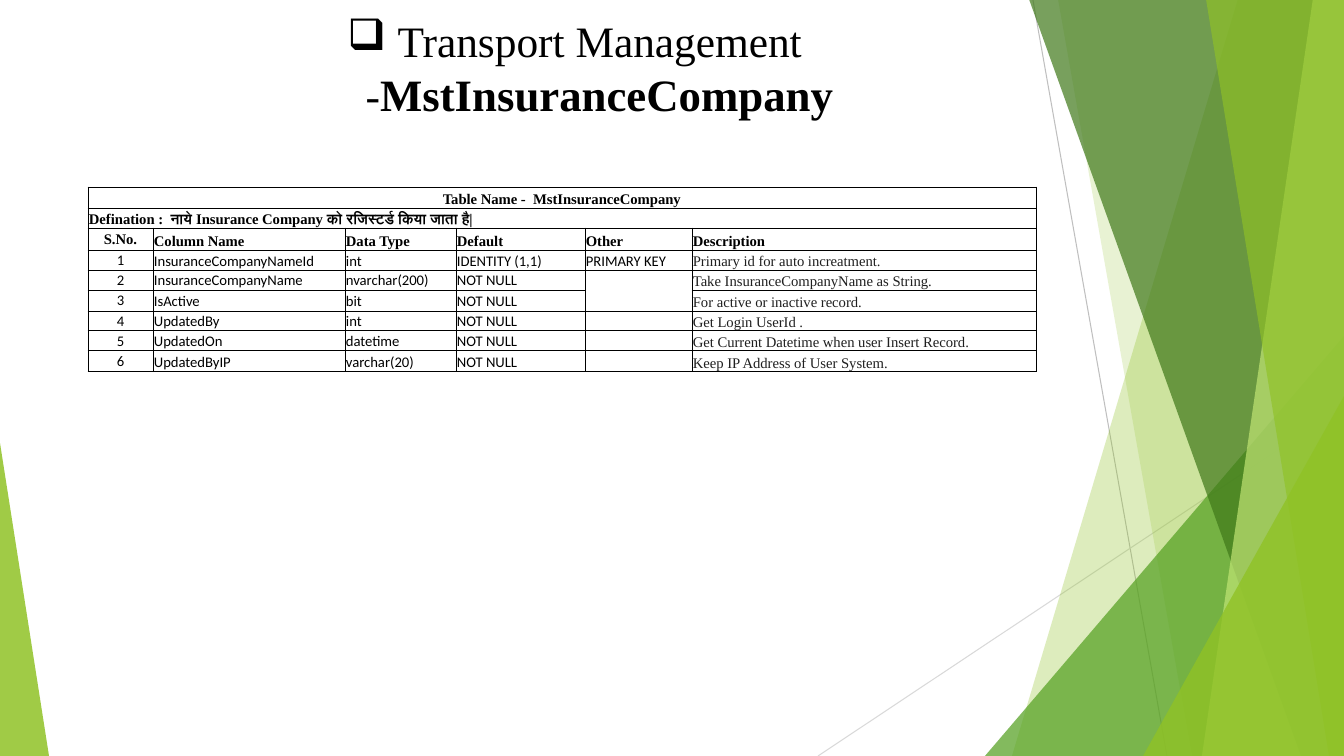
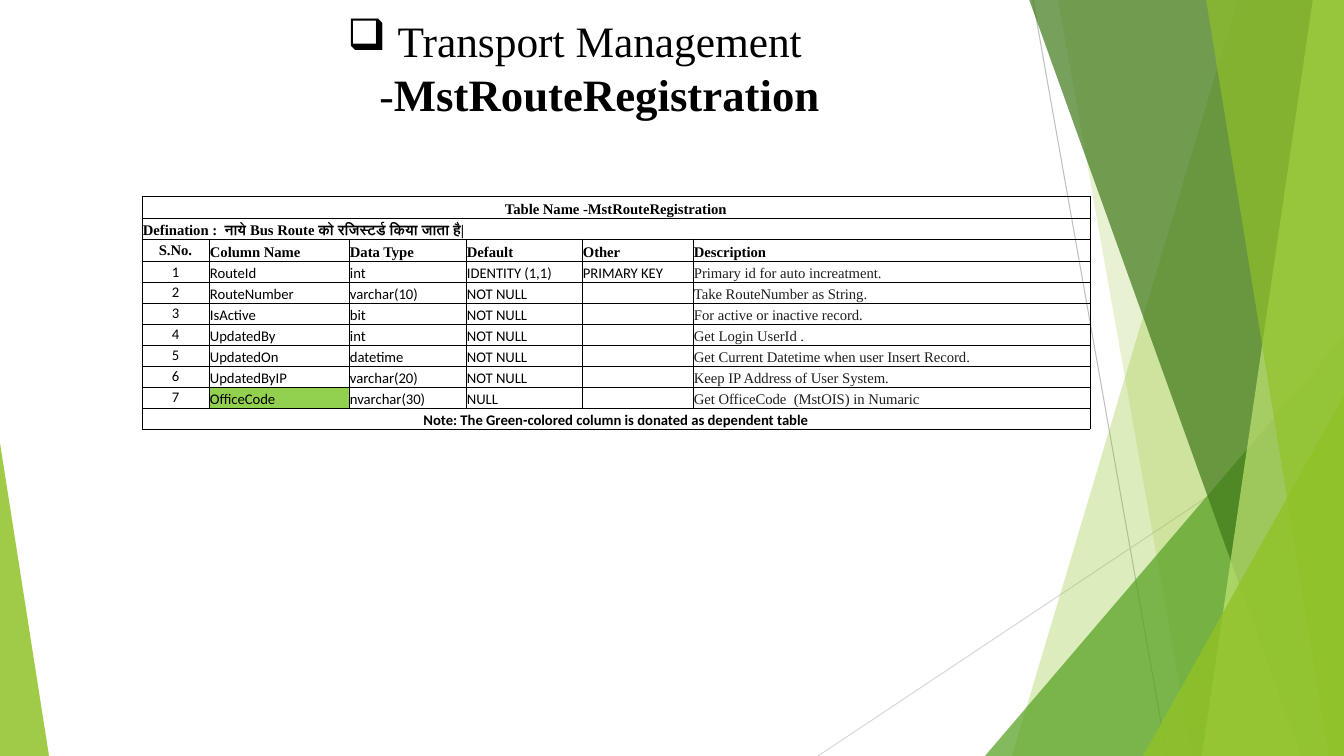
from lxml.etree import SubElement
from pptx import Presentation
from pptx.dml.color import RGBColor
from pptx.enum.shapes import MSO_CONNECTOR, MSO_SHAPE
from pptx.enum.text import MSO_ANCHOR, PP_ALIGN
from pptx.oxml.ns import qn
from pptx.util import Pt

PX = 914400 / 100.8
WIDE, HIGH = 1344, 756


class Theme:
    ink, soft, mark = "000000", "1F1F1F", "92D050"
    lime, leaf, moss, pale = "90C226", "54A021", "3F7819", "C0E474"
    rule, faint = "BFBFBF", "D9D9D9"
    title = {"name": "Times New Roman", "size": Pt(31), "bold": False}
    topic = {"name": "Times New Roman", "size": Pt(32), "bold": True}
    head = {"name": "Times New Roman", "size": Pt(10.5), "bold": True}
    body = {"name": "Calibri", "size": Pt(10.5), "bold": False}
    desc = {"name": "Times New Roman", "size": Pt(10.5), "bold": False}
    note = {"name": "Calibri", "size": Pt(10.5), "bold": True}


def emu(*vals):
    return [round(val * PX) for val in vals]


def write(par, text, form, tint=Theme.ink):
    run = par.add_run()
    run.text = text
    for key, val in form.items():
        setattr(run.font, key, val)
    run.font.color.rgb = RGBColor.from_string(tint)


# Slide data: name, type, default, description
KEY = "IDENTITY (1,1)"
FIRST = "Primary id for auto increatment."
COMMON = [
    ("IsActive", "bit", "NOT NULL", "For active or inactive record."),
    ("UpdatedBy", "int", "NOT NULL", "Get Login UserId ."),
    ("UpdatedOn", "datetime", "NOT NULL",
     "Get Current Datetime when user Insert Record."),
    ("UpdatedByIP", "varchar(20)", "NOT NULL", "Keep IP Address of User System."),
]
HEADS = ["S.No.", "Column Name", "Data Type", "Default", "Other", "Description"]
PAGES = [
    {
        "topic": "MstInsuranceCompany",
        "name": "Table Name -  MstInsuranceCompany",
        "about": "Defination :  नाये Insurance Company को रजिस्टर्ड किया जाता है|",
        "at": (88, 187),
        "cols": [65, 192, 111, 129, 107, 344],
        "rows": [21, 20, 22] + [20, 20, 21] * 2,
        "data": [
            ("InsuranceCompanyNameId", "int", KEY, FIRST),
            ("InsuranceCompanyName", "nvarchar(200)", "NOT NULL",
             "Take InsuranceCompanyName as String."),
            *COMMON,
        ],
        "note": None,
        "open": {(4, 4): "B", (5, 4): "T"},
        "green": None,
    },
    {
        "topic": "MstRouteRegistration",
        "name": "Table Name -MstRouteRegistration",
        "about": "Defination :  नाये Bus Route को रजिस्टर्ड किया जाता है|",
        "at": (142, 196),
        "cols": [67, 140, 117, 116, 111, 397],
        "rows": [22, 21, 22] + [21] * 8,
        "data": [
            ("RouteId", "int", KEY, FIRST),
            ("RouteNumber", "varchar(10)", "NOT NULL", "Take RouteNumber as String."),
            *COMMON,
            ("OfficeCode", "nvarchar(30)", "NULL",
             "Get OfficeCode  (MstOIS) in Numaric"),
        ],
        "note": "Note: The Green-colored column is donated as dependent table",
        "open": {},
        "green": (9, 1),
    },
]

deck = Presentation()
deck.slide_width, deck.slide_height = emu(WIDE, HIGH)
blank = deck.slide_layouts[6]
for hold in list(blank.placeholders):
    hold.element.getparent().remove(hold.element)
slides = [deck.slides.add_slide(blank) for page in PAGES]

# Backdrop lines
base = slides[0].shapes
for ends, tint in [((1033, 0, 1167, HIGH), Theme.rule),
                   ((WIDE, 406, 818, HIGH), Theme.faint)]:
    line = base.add_connector(MSO_CONNECTOR.STRAIGHT, *emu(*ends))
    line.line.color.rgb = RGBColor.from_string(tint)
    line.line.width = Pt(0.75)
    SubElement(line.element.spPr, qn("a:effectLst"))

# Backdrop facets: two numbers are top and foot of a wedge, four a triangle's box
for geo, tint, alpha in [
    ((1238, 1012), Theme.lime, 30),
    ((1058, 1192), Theme.lime, 20),
    ((985, 336, 359, 420), Theme.leaf, 72),
    ((1029, 1301), Theme.moss, 70),
    ((1313, 1202), Theme.pale, 70),
    ((1206, 1329), Theme.lime, 65),
    ((1143, 396, 201, 360), Theme.lime, 80),
    ((0, 443, 49, 313), Theme.lime, 85),
]:
    if len(geo) == 2:
        top, foot = geo
        path = base.build_freeform(top, -1, scale=PX)
        path.add_line_segments([(WIDE, -1), (WIDE, HIGH), (foot, HIGH)], close=True)
        facet = path.convert_to_shape()
    else:
        facet = base.add_shape(MSO_SHAPE.ISOSCELES_TRIANGLE, *emu(*geo))
        facet.adjustments[0] = 1 if geo[0] else 0
    facet.shadow.inherit = False
    facet.fill.solid()
    facet.fill.fore_color.rgb = RGBColor.from_string(tint)
    color = next(facet.element.spPr.iter(qn("a:srgbClr")))
    SubElement(color, qn("a:alpha"), val=str(alpha * 1000))
    facet.line.fill.background()

# The layout holds the backdrop for all slides
for shape in list(base):
    blank.shapes.element.append(shape.element)

for slide, page in zip(slides, PAGES):
    # Title
    frame = slide.shapes.add_textbox(*emu(157, 8, 835, 117)).text_frame
    frame.word_wrap = True
    frame.vertical_anchor = MSO_ANCHOR.BOTTOM
    par = frame.paragraphs[0]
    par.alignment = PP_ALIGN.CENTER
    props = par._p.get_or_add_pPr()
    props.set("marL", "457200")
    props.set("indent", "-457200")
    SubElement(props, qn("a:buChar"), char="❑")
    write(par, "Transport Management -", Theme.title)
    write(par, page["topic"], Theme.topic)

    # Table grid
    rows, cols = page["rows"], page["cols"]
    box = emu(*page["at"], sum(cols), sum(rows))
    grid = slide.shapes.add_table(len(rows), len(cols), *box).table
    grid.first_row = grid.horz_banding = False
    for col, width in zip(grid.columns, emu(*cols)):
        col.width = width
    for row, height in zip(grid.rows, emu(*rows)):
        row.height = height

    # Table text
    lines = [[page["name"]], [page["about"]], HEADS]
    for num, (name, kind, rest, desc) in enumerate(page["data"], 1):
        lines.append([str(num), name, kind, rest,
                      "PRIMARY KEY" if num == 1 else "", desc])
    if page["note"]:
        lines.append([page["note"]])

    for r, texts in enumerate(lines):
        full = len(texts) == 1
        if full:
            grid.cell(r, 0).merge(grid.cell(r, len(cols) - 1))
        for c in range(len(cols)):
            cell = grid.cell(r, c)
            text = texts[c] if c < len(texts) else ""
            mid = c == 0 and not full
            for key, val in {
                "margin_left": emu(1)[0], "margin_right": emu(1)[0],
                "margin_top": emu(1)[0], "margin_bottom": 0,
                "vertical_anchor": MSO_ANCHOR.MIDDLE if mid else MSO_ANCHOR.BOTTOM,
            }.items():
                setattr(cell, key, val)

            par = cell.text_frame.paragraphs[0]
            par.alignment = PP_ALIGN.CENTER if c == 0 and r != 1 else PP_ALIGN.LEFT
            if not text:
                SubElement(par._p, qn("a:endParaRPr"), sz="1050")
            elif r < 3:
                write(par, text, Theme.head)
            elif full:
                write(par, text, Theme.note)
            elif c == 5:
                write(par, text, Theme.desc, Theme.soft)
            else:
                write(par, text, Theme.body)

            # Borders come before the fill
            props = cell._tc.get_or_add_tcPr()
            for side in "LRTB":
                edge = SubElement(props, qn("a:ln" + side), w=str(Pt(0.5)))
                if side == page["open"].get((r, c)):
                    SubElement(edge, qn("a:noFill"))
                else:
                    fill = SubElement(edge, qn("a:solidFill"))
                    SubElement(fill, qn("a:srgbClr"), val=Theme.ink)
            if (r, c) == page["green"]:
                cell.fill.solid()
                cell.fill.fore_color.rgb = RGBColor.from_string(Theme.mark)
            else:
                cell.fill.background()

deck.save("out.pptx")
